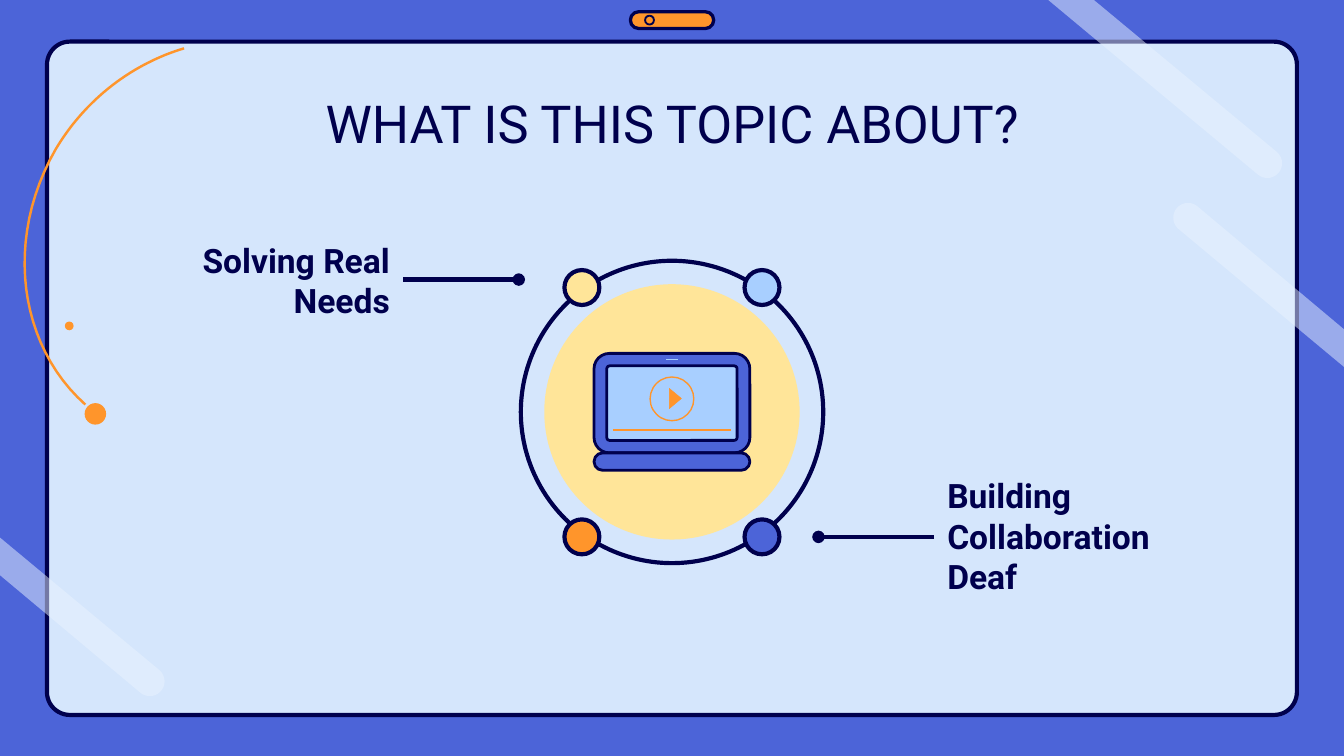
import math

from lxml import etree
from pptx import Presentation
from pptx import util as u
from pptx.dml.color import RGBColor
from pptx.enum import shapes, text
from pptx.oxml.ns import qn

NAVY = RGBColor(0x00, 0x00, 0x4D)
BLUE = RGBColor(0x4C, 0x64, 0xD8)
SKY = RGBColor(0xA8, 0xCF, 0xFF)
PALE = RGBColor(0xD5, 0xE6, 0xFC)
GLARE = RGBColor(0xE9, 0xF3, 0xFF)
ORANGE = RGBColor(0xFF, 0x95, 0x2B)
YELLOW = RGBColor(0xFF, 0xE5, 0x99)
FONT = "Roboto"

presentation = Presentation()
presentation.slide_width = u.Inches(10)
presentation.slide_height = presentation.slide_width * 9 // 16
CELL = presentation.slide_width / 100  # square grid, 100 columns wide
MIDDLE = 50

slide = presentation.slides.add_slide(presentation.slide_layouts[5])
slide.background.fill.solid()
slide.background.fill.fore_color.rgb = BLUE
ROUND = shapes.MSO_SHAPE.ROUNDED_RECTANGLE
OVAL = shapes.MSO_SHAPE.OVAL


def paint(shape, fill=None, line=None, width=0):
    shape.shadow.inherit = False
    if fill is None:
        shape.fill.background()
    else:
        shape.fill.solid()
        shape.fill.fore_color.rgb = fill
    if line is None:
        shape.line.fill.background()
    else:
        shape.line.color.rgb = line
        shape.line.width = u.Pt(width)


def add_centred(kind, x, y, width, height, fill=None, line=None, weight=0, corner=None):
    """Add a preset shape by its centre and size in grid cells."""
    box = [round(n * CELL) for n in (x - width / 2, y - height / 2, width, height)]
    shape = slide.shapes.add_shape(kind, *box)
    if corner is not None:
        shape.adjustments[0] = corner
    paint(shape, fill, line, weight)


# Window frame and camera
add_centred(ROUND, MIDDLE, 28.15, 93, 50.1, PALE, NAVY, 2.25, 0.034)
add_centred(ROUND, MIDDLE, 1.5, 6.2, 1.25, ORANGE, NAVY, 1.75, 0.5)
add_centred(OVAL, 48.33, 1.5, 0.66, 0.66, None, NAVY, 1)

# Ring and laptop
RING_Y = 30.65
add_centred(OVAL, MIDDLE, RING_Y, 19, 19, YELLOW)
add_centred(OVAL, MIDDLE, RING_Y, 22.5, 22.5, None, NAVY, 2.25)
add_centred(ROUND, MIDDLE, 30, 11.6, 7.4, BLUE, NAVY, 1.5, 0.155)
add_centred(ROUND, MIDDLE, 30, 9.7, 5.55, SKY, NAVY, 1.5, 0.04)
add_centred(OVAL, MIDDLE, 29.68, 3.25, 3.25, None, ORANGE, 0.75)
add_centred(ROUND, MIDDLE, 34.35, 11.6, 1.3, BLUE, NAVY, 1.5, 0.5)

for x, y, fill in ((43.3, 21.4, YELLOW), (56.7, 21.4, SKY),
                   (43.3, 39.95, ORANGE), (56.7, 39.95, BLUE)):
    add_centred(OVAL, x, y, 2.6, 2.6, fill, NAVY, 2.25)

# Outlines: the orbit on the left, three glare beams and the play triangle
orbit = []
for curve in (
    ((13.7, 3.6), (10, 4.7), (6.45, 7.25), (4.15, 11.1)),
    ((4.15, 11.1), (0.3, 17.8), (1.4, 25.7), (6.35, 30.1)),
):
    for step in range(25):
        t = step / 24
        weights = ((1 - t) ** 3, 3 * t * (1 - t) ** 2, 3 * t * t * (1 - t), t ** 3)
        orbit.append([sum(w * p[axis] for w, p in zip(weights, curve)) for axis in (0, 1)])

beams = []
for x, y, heading, edge in (
    (94.3, 12.15, 39.7, [(78, 0), (81.4, 0)]),
    (11.15, 50.7, 39.7, [(0, 42.8), (0, 40)]),
    (88.4, 16.2, 219.7, [(100, 24.5), (100, 27.3)]),
):
    angles = [math.radians(heading + turn) for turn in range(-90, 91, 10)]
    beams.append([(x + 1.1 * math.cos(a), y + 1.1 * math.sin(a)) for a in angles] + edge)

triangle = [(49.8, 28.9), (49.8, 30.4), (50.7, 29.65)]

outlines = []
for points, closed in [(orbit, False)] + [(beam, True) for beam in beams] + [(triangle, True)]:
    corners = [(round(x * CELL), round(y * CELL)) for x, y in points]
    builder = slide.shapes.build_freeform(*corners[0], scale=1.0)
    builder.add_line_segments(corners[1:], close=closed)
    outlines.append(builder.convert_to_shape())

paint(outlines[0], None, ORANGE, 1.3)
for beam in outlines[1:4]:
    paint(beam, GLARE)
    colour = beam.element.spPr.find(qn("a:solidFill"))[0]
    etree.SubElement(colour, qn("a:alpha"), val="50000")
paint(outlines[4], ORANGE, ORANGE, 0.25)

add_centred(OVAL, 5.15, 24.25, 0.65, 0.65, ORANGE)
add_centred(OVAL, 7.1, 30.8, 1.6, 1.6, ORANGE)

# Straight lines: progress bar, bezel mark, two label leaders
for start, end, y, colour, weight, dotted in (
    (45.6, 54.4, 32, ORANGE, 0.75, False),
    (49.55, 50.45, 26.75, SKY, 0.25, False),
    (30, 38.6, 20.8, NAVY, 2.25, True),
    (69.5, 60.9, 39.95, NAVY, 2.25, True),
):
    ends = [round(n * CELL) for n in (start, y, end, y)]
    connector = slide.shapes.add_connector(shapes.MSO_CONNECTOR.STRAIGHT, *ends)
    connector.line.color.rgb = colour
    connector.line.width = u.Pt(weight)
    properties = connector.element.spPr
    if dotted:
        etree.SubElement(properties.find(qn("a:ln")), qn("a:tailEnd"), type="oval")
    etree.SubElement(properties, qn("a:effectLst"))

# Title and labels, with the title brought in front of the window
title = slide.shapes.title
title.element.getparent().append(title.element)
labels = [slide.shapes.add_textbox(0, 0, 0, 0) for side in range(2)]
TOP, CENTRE = text.MSO_ANCHOR.TOP, text.MSO_ANCHOR.MIDDLE
ALIGN = text.PP_ALIGN
for shape, box, wording, size, bold, align, anchor in (
    (title, (7.9, 5.8, 84.2, 6.3), "WHAT IS THIS TOPIC ABOUT?", 28, False, ALIGN.CENTER, TOP),
    (labels[0], (7.3, 18.9, 22.7, 3.9), "Solving Real Needs", 18, True, ALIGN.RIGHT, CENTRE),
    (labels[1], (69.5, 37.9, 22.7, 3.9), "Building Collaboration Deaf", 18, True, ALIGN.LEFT, CENTRE),
):
    shape.left, shape.top, shape.width, shape.height = [round(n * CELL) for n in box]
    frame = shape.text_frame
    frame.word_wrap = True
    frame.auto_size = text.MSO_AUTO_SIZE.NONE
    frame.vertical_anchor = anchor
    frame.margin_left = frame.margin_right = u.Inches(0.1)
    frame.margin_top = frame.margin_bottom = u.Inches(0.1)
    paragraph = frame.paragraphs[0]
    paragraph.alignment = align
    run = paragraph.add_run()
    run.text = wording
    run.font.name = FONT
    run.font.size = u.Pt(size)
    run.font.bold = bold
    run.font.color.rgb = NAVY

presentation.save("out.pptx")
